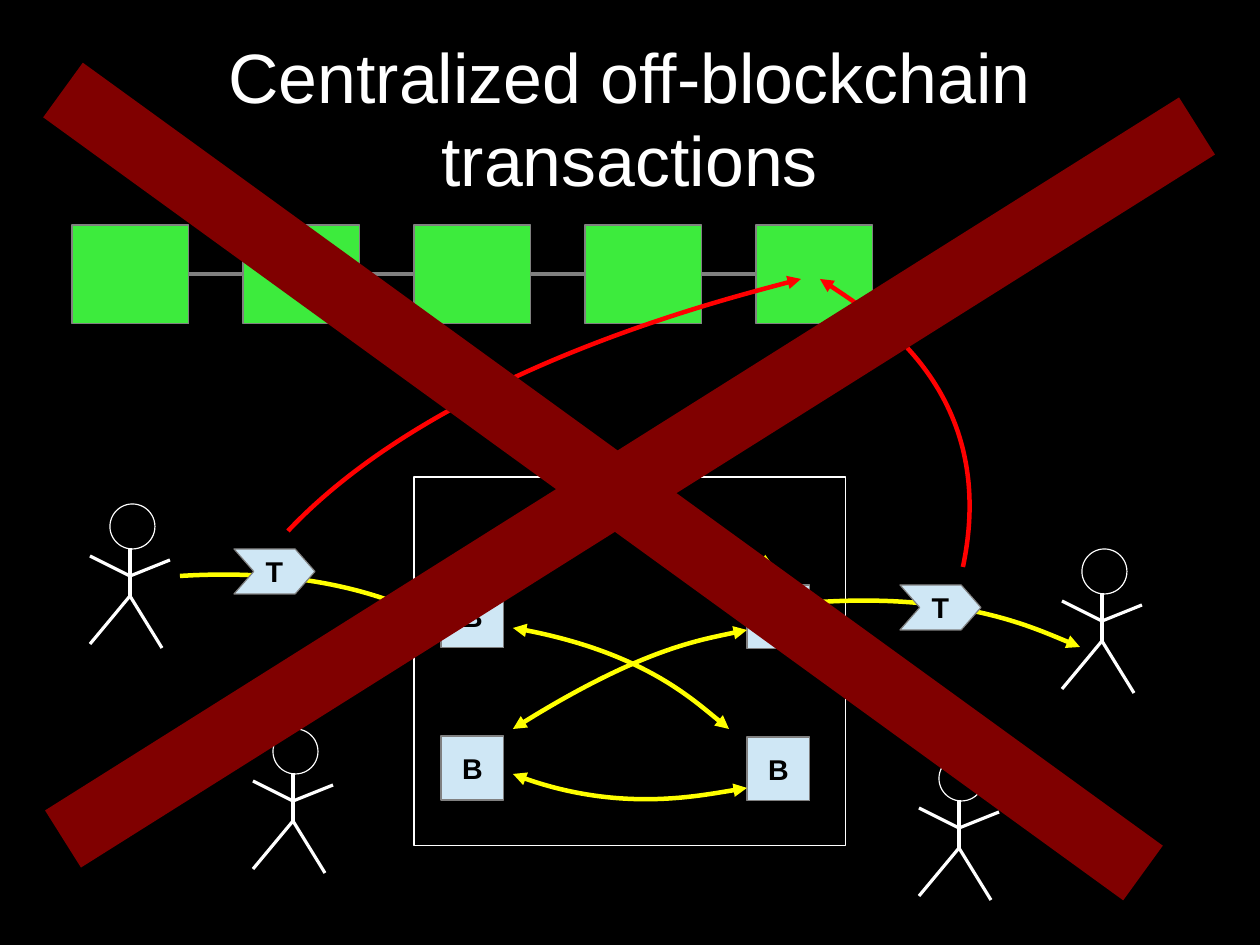
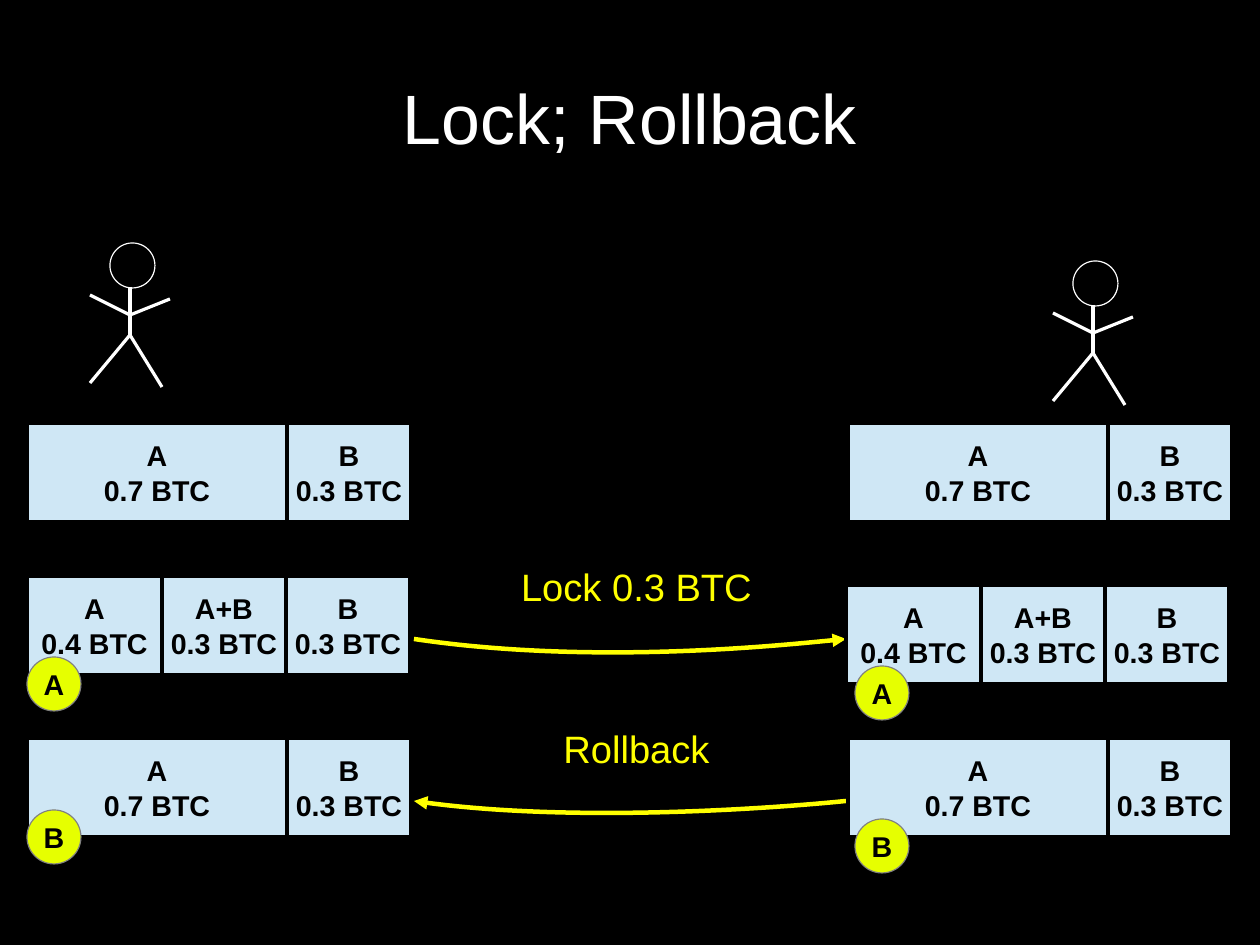
import dataclasses

import lxml.etree
import pptx
import pptx.dml.color
import pptx.enum.shapes
import pptx.enum.text
import pptx.oxml.ns
import pptx.util

PX = 8000  # EMU in one px
KIND = pptx.enum.shapes.MSO_SHAPE
qn = pptx.oxml.ns.qn


@dataclasses.dataclass(frozen=True)
class Theme:
    back: str = "000000"
    ink: str = "000000"
    white: str = "FFFFFF"
    green: str = "3DEB3D"
    pale: str = "CFE7F5"
    lime: str = "E6FF00"
    gray: str = "808080"
    red: str = "FF0000"
    gold: str = "FFFF00"
    cross: str = "800000"
    font: str = "Arial"
    title: int = 44
    note: int = 24
    label: int = 18
    hair: float = 0
    bold: float = 2.83
    bar: float = 42.52


T = Theme()


# Basic styling
def px(*nums):
    return [pptx.util.Emu(num * PX) for num in nums]


def rgb(code):
    return pptx.dml.color.RGBColor.from_string(code)


def ink(shape, color, width):
    shape.line.color.rgb = rgb(color)
    shape.line.width = pptx.util.Pt(width)


def write(shape, text, size, color, bold=False, wrap=False):
    frame = shape.text_frame
    frame.text = text
    frame.word_wrap = wrap
    for para in frame.paragraphs:
        para.alignment = pptx.enum.text.PP_ALIGN.CENTER
        for run in para.runs:
            run.font.name = T.font
            run.font.size = pptx.util.Pt(size)
            run.font.bold = bold
            run.font.color.rgb = rgb(color)
    return frame


# Kinds of element
def box(shapes, kind, rect, fill=None, line=T.gray, width=T.hair, text=""):
    shape = shapes.add_shape(kind, *px(*rect))
    shape.shadow.inherit = False
    if fill:
        shape.fill.solid()
        shape.fill.fore_color.rgb = rgb(fill)
    else:
        shape.fill.background()
    ink(shape, line, width)
    if text:
        frame = write(shape, text, T.label, T.ink, bold=True)
        frame.vertical_anchor = pptx.enum.text.MSO_ANCHOR.MIDDLE
    return shape


def line(shapes, start, end, color, width=T.hair):
    link = shapes.add_connector(
        pptx.enum.shapes.MSO_CONNECTOR.STRAIGHT, *px(*start, *end))
    ink(link, color, width)
    props = link.element.find(qn("p:spPr"))
    lxml.etree.SubElement(props, qn("a:effectLst"))


def curve(shapes, start, bend, end, color=T.gold, tips=("tailEnd",)):
    """Draw a cubic curve whose second control point is its end."""
    start, bend, end = px(*start), px(*bend), px(*end)

    def spot(t):
        u = 1 - t
        return [round(u**3 * a + 3 * u * u * t * b + (1 - u**3 - 3 * u * u * t) * c)
                for a, b, c in zip(start, bend, end)]

    # Sampled points fix the bounds; one true curve then takes their place
    form = shapes.build_freeform(*start)
    form.add_line_segments([spot(i / 20) for i in range(1, 21)], close=False)
    shape = form.convert_to_shape()
    shape.shadow.inherit = False
    shape.fill.background()
    ink(shape, color, T.bold)
    track = shape.element.xpath(".//a:path")[0]
    for step in track.findall(qn("a:lnTo")):
        track.remove(step)
    cubic = lxml.etree.SubElement(track, qn("a:cubicBezTo"))
    for x, y in (bend, end, end):
        lxml.etree.SubElement(cubic, qn("a:pt"),
                              x=str(x - shape.left), y=str(y - shape.top))
    stroke = shape.element.xpath(".//a:ln")[0]
    for tip in tips:
        lxml.etree.SubElement(stroke, qn(f"a:{tip}"), type="triangle")


def person(shapes, x, y):
    parts = shapes.add_group_shape().shapes
    box(parts, KIND.OVAL, (x + 20, y, 45, 45), line=T.white)
    chest, hip = (40, 72), (40, 92)
    limbs = [(chest, (80, 56)), (chest, (0, 52)), (hip, (72, 144)),
             (hip, (0, 140)), ((40, 44), hip)]
    for (ax, ay), (bx, by) in limbs:
        line(parts, (x + ax, y + ay), (x + bx, y + by), T.white)


def chain(shapes, x, y, count):
    parts = shapes.add_group_shape().shapes
    wide, high, pitch = 117, 99, 171
    for i in range(count):
        left = x + i * pitch
        box(parts, KIND.RECTANGLE, (left, y, wide, high), T.green)
        if i:
            line(parts, (left - pitch + wide, y + 49), (left, y + 49), T.gray)


def tag(shapes, x, y):
    shape = box(shapes, KIND.CHEVRON, (x, y, 81, 45), T.pale, text="T")
    shape.adjustments[0] = 0.44


def strip(shapes, x, y, cells):
    """Lay cells side by side, each as wide as its amount asks."""
    wide = {"0.7": 260, "0.4": 135, "0.3": 124}
    for owner, sum_ in cells:
        box(shapes, KIND.RECTANGLE, (x, y, wide[sum_], 99), T.pale, T.ink,
            T.bold, f"{owner}\n{sum_} BTC")
        x += wide[sum_]


def note(shapes, y, text):
    area = shapes.add_textbox(*px(488, y, 297, 54))
    write(area, text, T.note, T.gold, wrap=True)


def page(deck, title):
    shapes = deck.slides.add_slide(deck.slide_layouts[6]).shapes
    area = shapes.add_textbox(*px(63, 38, 1134, 158))
    frame = write(area, title, T.title, T.white, wrap=True)
    frame.vertical_anchor = pptx.enum.text.MSO_ANCHOR.MIDDLE
    frame.margin_left = frame.margin_right = 0
    frame.margin_top = frame.margin_bottom = 0
    return shapes


# Slides
def central(deck):
    shapes = page(deck, "Centralized off-blockchain transactions")
    for spot in [(90, 504), (1062, 549), (253, 729), (919, 756)]:
        person(shapes, *spot)
    box(shapes, KIND.RECTANGLE, (414, 477, 432, 369), line=T.white)
    chain(shapes, 72, 225, 5)

    # Payments from and to the outer users
    curve(shapes, (288, 531), (441, 369), (801, 279), T.red)
    curve(shapes, (963, 567), (1001, 387), (820, 279), T.red)
    curve(shapes, (180, 576), (324, 567), (441, 621))
    curve(shapes, (820, 602), (964, 593), (1080, 647))
    tag(shapes, 234, 549)
    tag(shapes, 900, 585)

    # Inner nodes and their links
    for x, y, text in [(441, 584, "B"), (747, 585, ""),
                       (441, 736, "B"), (747, 737, "B")]:
        box(shapes, KIND.RECTANGLE, (x, y, 63, 64), T.pale, text=text)
    for way in [((495, 558), (621, 477), (774, 567)),
                ((513, 774), (612, 815), (747, 788)),
                ((513, 729), (639, 648), (747, 630)),
                ((513, 628), (639, 648), (729, 729))]:
        curve(shapes, *way, tips=("headEnd", "tailEnd"))

    # Cross over the whole scheme
    line(shapes, (63, 90), (1143, 873), T.cross, T.bar)
    line(shapes, (63, 839), (1197, 126), T.cross, T.bar)


def lock(deck):
    shapes = page(deck, "Lock; Rollback")
    person(shapes, 90, 243)
    person(shapes, 1053, 261)

    # Messages between the two sides
    for y, text, tip in [(639, "Lock 0.3 BTC", "tailEnd"),
                         (801, "Rollback", "headEnd")]:
        curve(shapes, (414, y), (594, y + 27), (846, y), tips=(tip,))
        note(shapes, y - 81, text)

    # Balances on each side
    free = [("A", "0.7"), ("B", "0.3")]
    held = [("A", "0.4"), ("A+B", "0.3"), ("B", "0.3")]
    for x, y, cells in [(27, 423, free), (27, 576, held), (27, 738, free),
                        (848, 423, free), (846, 585, held), (848, 738, free)]:
        strip(shapes, x, y, cells)

    # Signatures
    for x, y, text in [(27, 657, "A"), (855, 666, "A"),
                       (27, 810, "B"), (855, 819, "B")]:
        box(shapes, KIND.OVAL, (x, y, 54, 54), T.lime, text=text)


def main():
    deck = pptx.Presentation()
    deck.slide_width, deck.slide_height = px(1260, 945)
    fill = deck.slide_master.background.fill
    fill.solid()
    fill.fore_color.rgb = rgb(T.back)
    central(deck)
    lock(deck)
    deck.save("out.pptx")


if __name__ == "__main__":
    main()
